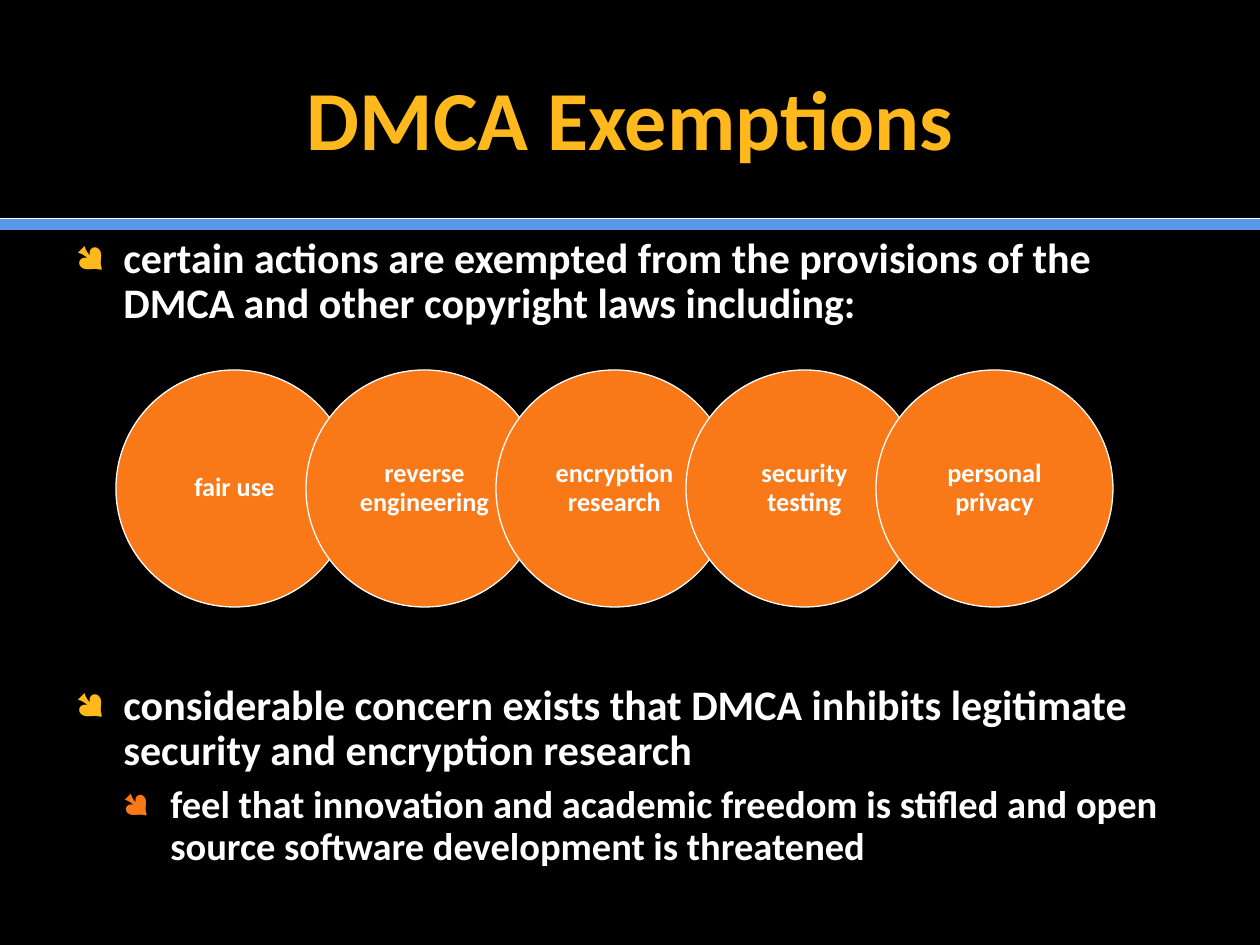
"""Build the slide on DMCA exemptions."""
from lxml.etree import SubElement
from pptx import Presentation
from pptx.dml.color import RGBColor
from pptx.enum.shapes import MSO_CONNECTOR, MSO_SHAPE
from pptx.enum.text import MSO_ANCHOR, PP_ALIGN
from pptx.oxml.ns import qn
from pptx.util import Emu, Pt

TITLE = "DMCA Exemptions"
CIRCLES = ["fair use", "reverse engineering", "encryption research",
           "security testing", "personal privacy"]

BLACK = RGBColor(0x00, 0x00, 0x00)
WHITE = RGBColor(0xFF, 0xFF, 0xFF)
BLUE = RGBColor(0x57, 0x99, 0xE8)
GOLD = RGBColor(0xFF, 0xB9, 0x1D)
ORANGE = RGBColor(0xF9, 0x78, 0x17)

RULES = [(224, BLUE, 7), (218, WHITE, 0.5)]
BLOCKS = [
    (231, 110, [
        ("certain actions are exempted from the provisions of the DMCA "
         "and other copyright laws including:", 0),
    ]),
    (678, 236, [
        ("considerable concern exists that DMCA inhibits legitimate "
         "security and encryption research", 0),
        ("feel that innovation and academic freedom is stifled and open "
         "source software development is threatened", 1),
    ]),
]
LEVELS = [(24, 48, GOLD), (22, 95, ORANGE)]
WIDTH, HEIGHT = 1260, 945
MARGIN, SPAN = 63, 1134
LEFT, TOP, SIZE, STEP = 116, 370, 237, 190
HANG = 48


def px(count):
    return Emu(round(count * 914400 / 126))


def style(para, size, color):
    for run in para.runs:
        font = run.font
        font.name, font.size, font.bold = "Calibri", Pt(size), True
        font.color.rgb = color


def place(shape, left, top, width, height):
    shape.left, shape.top = px(left), px(top)
    shape.width, shape.height = px(width), px(height)


def add_rule(slide, top, color, weight):
    rule = slide.shapes.add_connector(
        MSO_CONNECTOR.STRAIGHT, px(0), px(top), px(WIDTH), px(top))
    rule.line.color.rgb, rule.line.width = color, Pt(weight)
    SubElement(rule._element.spPr, qn("a:effectLst"))


def add_bullet(para, text, level):
    size, indent, color = LEVELS[level]
    para.text, para.level = text, level
    para.line_spacing, para.space_before = 0.9, Pt(6 * level)
    props = para._p.get_or_add_pPr()
    props.set("marL", str(px(indent)))
    props.set("indent", str(px(-HANG)))
    tint = SubElement(props, qn("a:buClr"))
    SubElement(tint, qn("a:srgbClr"), val=str(color))
    SubElement(props, qn("a:buSzPct"), val="90000")
    SubElement(props, qn("a:buFont"), typeface="Wingdings", charset="2")
    SubElement(props, qn("a:buChar"), char="●")
    style(para, size, WHITE)


def add_block(slide, top, height, bullets):
    box = slide.shapes.add_textbox(px(MARGIN), px(top), px(SPAN), px(height))
    frame = box.text_frame
    frame.word_wrap = True
    for index, bullet in enumerate(bullets):
        para = frame.add_paragraph() if index else frame.paragraphs[0]
        add_bullet(para, *bullet)


def add_circle(slide, index, text):
    circle = slide.shapes.add_shape(
        MSO_SHAPE.OVAL, px(LEFT + index * STEP), px(TOP), px(SIZE), px(SIZE))
    circle.shadow.inherit = False
    circle.fill.solid()
    circle.fill.fore_color.rgb = ORANGE
    circle.line.color.rgb, circle.line.width = WHITE, Pt(0.75)
    frame = circle.text_frame
    frame.text, frame.word_wrap = text, True
    frame.vertical_anchor = MSO_ANCHOR.MIDDLE
    frame.margin_left = frame.margin_right = px(12)
    frame.margin_top = frame.margin_bottom = px(2)
    para = frame.paragraphs[0]
    para.alignment, para.line_spacing = PP_ALIGN.CENTER, 0.9
    style(para, 15, WHITE)


def main():
    deck = Presentation()
    deck.slide_width, deck.slide_height = px(WIDTH), px(HEIGHT)
    slide = deck.slides.add_slide(deck.slide_layouts[5])
    slide.background.fill.solid()
    slide.background.fill.fore_color.rgb = BLACK

    for rule in RULES:
        add_rule(slide, *rule)

    title = slide.shapes.title
    place(title, MARGIN, 38, SPAN, 157)
    title.text_frame.text = TITLE
    title.text_frame.vertical_anchor = MSO_ANCHOR.MIDDLE
    title.text_frame.paragraphs[0].alignment = PP_ALIGN.CENTER
    style(title.text_frame.paragraphs[0], 48, GOLD)

    for block in BLOCKS:
        add_block(slide, *block)

    for index, text in enumerate(CIRCLES):
        add_circle(slide, index, text)

    deck.save("out.pptx")


if __name__ == "__main__":
    main()
